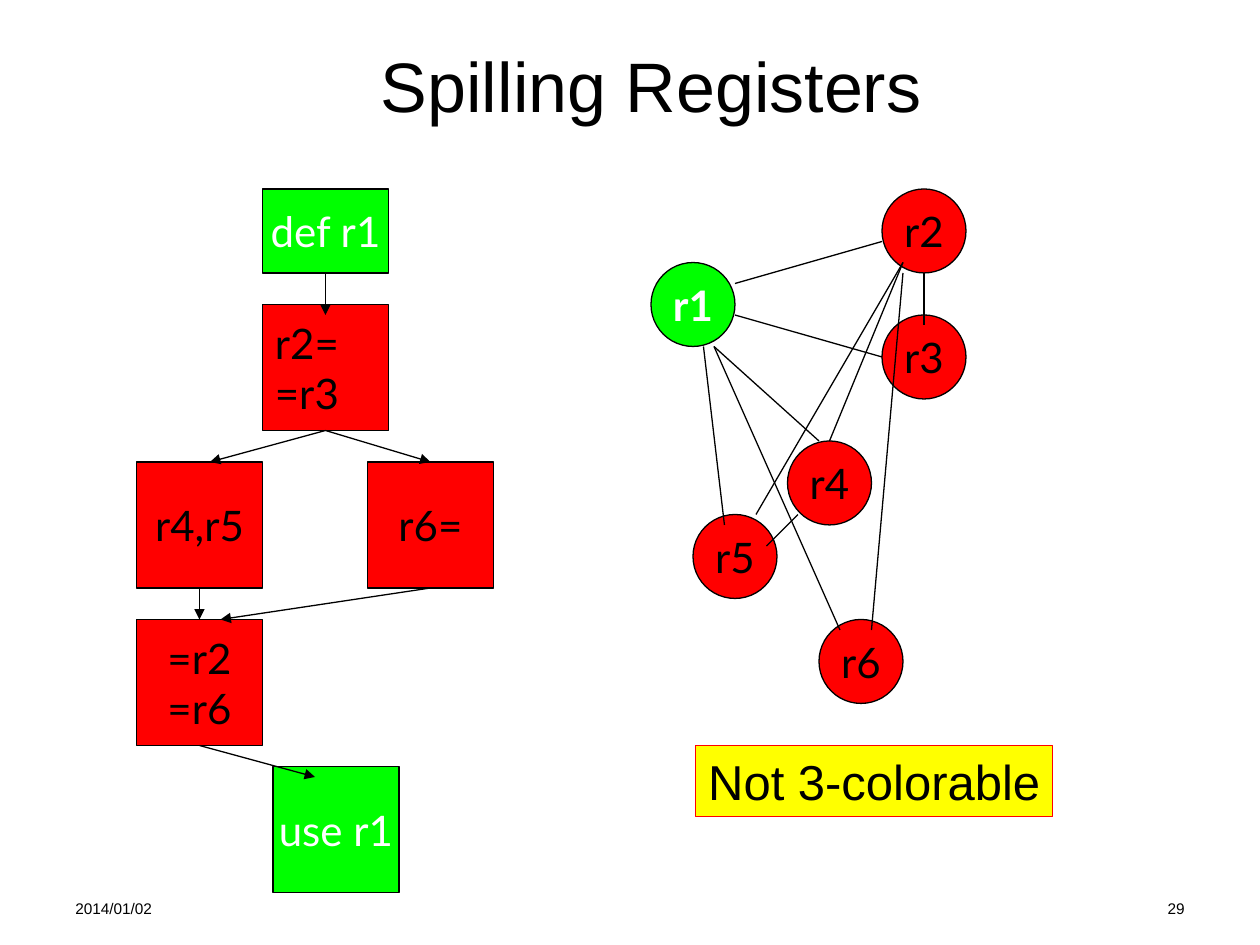
"""Draw the slide on spilling registers, on a grid of twelfths of an inch."""
from typing import NamedTuple

from lxml.etree import SubElement
from pptx import Presentation
from pptx.dml.color import RGBColor
from pptx.enum.shapes import MSO_CONNECTOR, MSO_SHAPE
from pptx.enum.text import MSO_ANCHOR, PP_ALIGN
from pptx.oxml.ns import qn
from pptx.util import Cm, Length, Pt

BLACK = RGBColor(0x00, 0x00, 0x00)
WHITE = RGBColor(0xFF, 0xFF, 0xFF)
GREEN = RGBColor(0x00, 0xFF, 0x00)
RED = RGBColor(0xFF, 0x00, 0x00)
YELLOW = RGBColor(0xFF, 0xFF, 0x00)
LEFT, MID, RIGHT = PP_ALIGN.LEFT, PP_ALIGN.CENTER, PP_ALIGN.RIGHT


class Node(NamedTuple):
    """A filled shape with its text."""
    text: str
    left: float
    top: float
    width: float = 12
    height: float = 12
    kind: MSO_SHAPE = MSO_SHAPE.RECTANGLE
    fill: RGBColor = RED
    edge: RGBColor = BLACK
    ink: RGBColor = BLACK
    align: PP_ALIGN = MID
    font: str = "Lato"
    size: float = 24
    bold: bool = False


class Edge(NamedTuple):
    """A line between two grid points."""
    left: float
    top: float
    right: float
    low: float


class Note(NamedTuple):
    """A small text at the foot of the slide."""
    text: str
    left: float
    align: PP_ALIGN


def ring(text: str, left: float, top: float) -> Node:
    """Give a red circle of the graph."""
    return Node(text, left, top, 8, 8, MSO_SHAPE.OVAL)


BLOCKS = [
    Node("def r1", 25, 18, height=8, fill=GREEN, ink=WHITE),
    Node("r2=\n=r3", 25, 29, align=LEFT),
    Node("r4,r5", 13, 44),
    Node("r6=", 35, 44),
    Node("=r2\n=r6", 13, 59),
    Node("use r1", 26, 73, fill=GREEN, ink=WHITE),
]
FLOW = [
    Edge(31, 26, 31, 30), Edge(31, 41, 20, 44), Edge(31, 41, 41, 44),
    Edge(19, 56, 19, 59), Edge(19, 71, 30, 74), Edge(41, 56, 21, 59),
]
RINGS = [
    ring("r1", 62, 25)._replace(fill=GREEN, ink=WHITE, bold=True),
    ring("r2", 84, 18), ring("r3", 84, 30), ring("r4", 75, 42),
    ring("r5", 66, 49), ring("r6", 78, 59),
]
LINKS = [
    Edge(88, 26, 88, 31), Edge(70, 27, 84, 23), Edge(70, 30, 84, 34),
    Edge(86, 25, 79, 42), Edge(68, 33, 78, 42), Edge(86, 25, 72, 49),
    Edge(67, 33, 69, 50), Edge(76, 49, 73, 52), Edge(86, 26, 83, 60),
    Edge(68, 33, 80, 60),
]
LABEL = Node("Not 3-colorable", 66.25, 71, 34, 6.8, fill=YELLOW, edge=RED,
             font="Arial", size=28)
NOTES = [Note("2014/01/02", 6, LEFT), Note("29", 86, RIGHT)]


def grid(count: float) -> Length:
    """Turn twelfths of an inch into a length."""
    return Cm(count * 2.54 / 12)


def style(frame, text: str, font: str, size: float, ink: RGBColor,
          align: PP_ALIGN, bold: bool = False) -> None:
    """Set the text of a frame and format its runs."""
    frame.text = text
    for para in frame.paragraphs:
        para.alignment = align
        for run in para.runs:
            run.font.name = font
            run.font.size = Pt(size)
            run.font.bold = bold
            run.font.color.rgb = ink


def draw_node(slide, node: Node) -> None:
    """Draw a filled shape with its text."""
    shape = slide.shapes.add_shape(
        node.kind, grid(node.left), grid(node.top),
        grid(node.width), grid(node.height))
    shape.shadow.inherit = False
    shape.fill.solid()
    shape.fill.fore_color.rgb = node.fill
    shape.line.color.rgb = node.edge
    shape.line.width = Pt(0.75)
    frame = shape.text_frame
    frame.word_wrap = False
    frame.vertical_anchor = MSO_ANCHOR.MIDDLE
    style(frame, node.text, node.font, node.size, node.ink, node.align,
          node.bold)


def draw_edge(slide, edge: Edge, arrow: bool) -> None:
    """Draw a thin line, with or without an arrowhead."""
    line = slide.shapes.add_connector(
        MSO_CONNECTOR.STRAIGHT, *(grid(side) for side in edge))
    line.line.color.rgb = BLACK
    line.line.width = Pt(0.75)
    if arrow:
        SubElement(line.line._get_or_add_ln(), qn("a:tailEnd"),
                   type="triangle")
    SubElement(line._element.spPr, qn("a:effectLst"))


def draw_note(slide, note: Note) -> None:
    """Draw a small text at the foot."""
    box = slide.shapes.add_textbox(
        grid(note.left), grid(85), grid(28), grid(3.2))
    box.text_frame.word_wrap = True
    style(box.text_frame, note.text, "Arial", 8.8, BLACK, note.align)


def main() -> None:
    """Build and save the slide."""
    deck = Presentation()
    deck.slide_width, deck.slide_height = grid(120), grid(90)
    slide = deck.slides.add_slide(deck.slide_layouts[5])
    title = slide.shapes.title
    title.left, title.top = grid(9), grid(3)
    title.width, title.height = grid(106), grid(10)
    title.text_frame.vertical_anchor = MSO_ANCHOR.MIDDLE
    style(title.text_frame, "Spilling Registers", "Arial", 40, BLACK, MID)
    for note in NOTES:
        draw_note(slide, note)
    for node in BLOCKS + RINGS + [LABEL]:
        draw_node(slide, node)
    for edge in FLOW:
        draw_edge(slide, edge, True)
    for edge in LINKS:
        draw_edge(slide, edge, False)
    deck.save("out.pptx")


if __name__ == "__main__":
    main()
